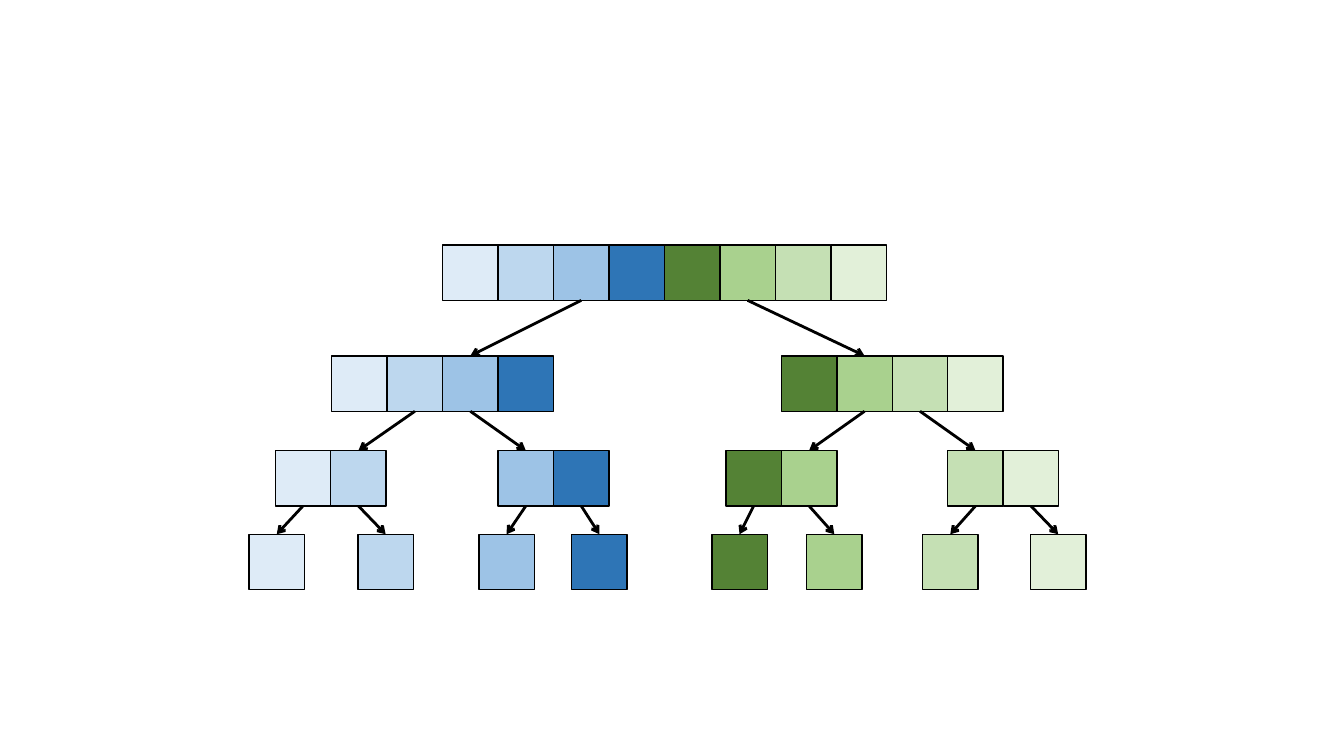
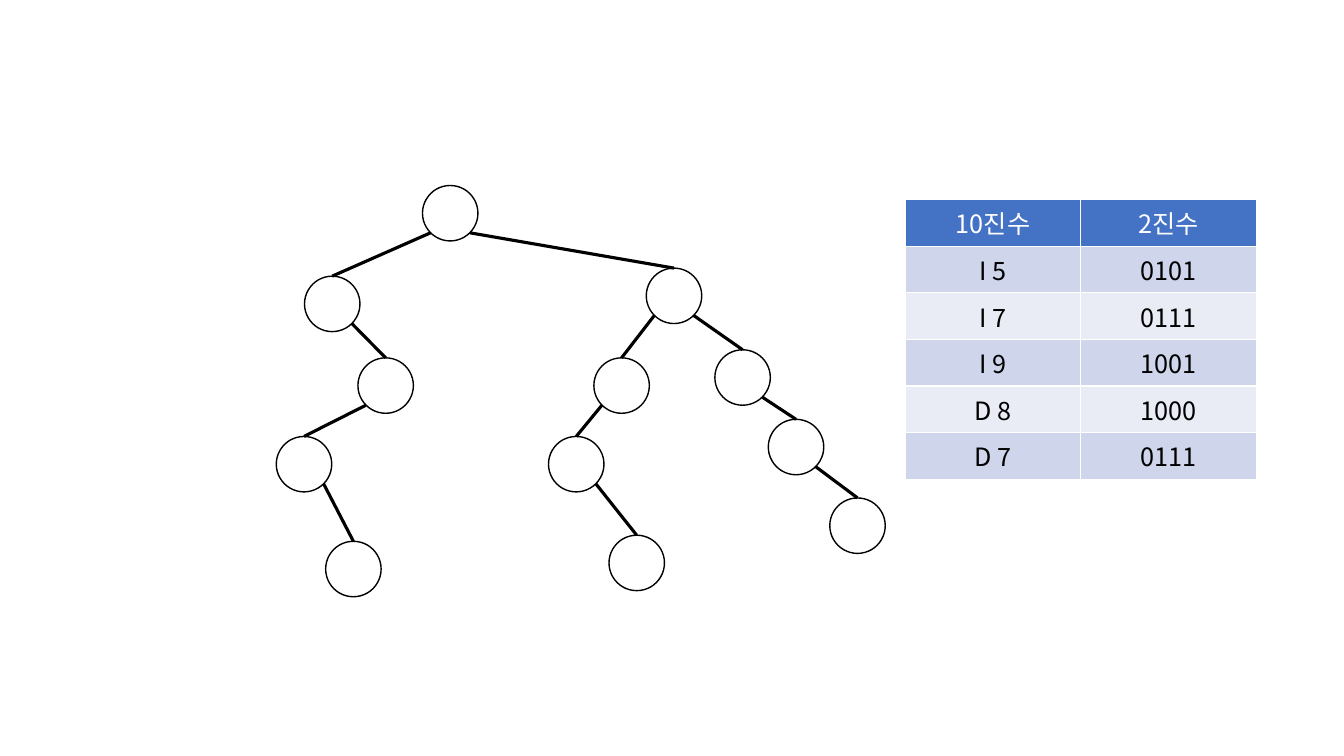
"""Build two slides: a divide-and-conquer splitting tree and a binary trie with its key table."""
import math

from lxml import etree
from pptx import Presentation
from pptx.dml.color import RGBColor
from pptx.enum import shapes, text
from pptx.oxml import ns
from pptx.util import Inches, Pt

FONT = "Noto Sans CJK KR"
BLACK = RGBColor(0x00, 0x00, 0x00)
WHITE = RGBColor(0xFF, 0xFF, 0xFF)
HEADER = RGBColor(0x44, 0x72, 0xC4)
BANDS = [RGBColor(0xE9, 0xEB, 0xF5), RGBColor(0xCF, 0xD5, 0xEA)]
CELL_COLORS = [RGBColor.from_string(c) for c in (
    "DEEBF7", "BDD7EE", "9DC3E6", "2E75B6", "548235", "A9D18E", "C5E0B4", "E2F0D9")]
SIZE = Inches(0.55)


def outline(item, width, arrow=False):
    item.line.color.rgb = BLACK
    item.line.width = Pt(width)
    if arrow:
        etree.SubElement(item.line._get_or_add_ln(), ns.qn("a:tailEnd"), type="arrow")
    etree.SubElement(item._element.spPr, ns.qn("a:effectLst"))


def write(tf, content, size=18, color=BLACK, align=text.PP_ALIGN.CENTER):
    p = tf.paragraphs[0]
    p.alignment = align
    r = p.add_run()
    r.text = content
    r.font.size = Pt(size)
    r.font.bold = False
    r.font.name = FONT
    r.font.color.rgb = color
    etree.SubElement(r.font._element, ns.qn("a:ea"), typeface=FONT)


prs = Presentation()
prs.slide_width, prs.slide_height = Inches(13.33), Inches(7.5)
blank = prs.slide_layouts[6]

s = prs.slides.add_slide(blank)
levels = [
    (2.43, [4.39], []),
    (3.53, [3.29, 7.75], [2, 5]),
    (4.47, [2.73, 4.94, 7.2, 9.4], [1, 2, 5, 6]),
    (5.3, [2.47, 3.55, 4.75, 5.67, 7.06, 8, 9.15, 10.22], range(8)),
]
parents = []
for top, lefts, linked in levels:
    count = len(CELL_COLORS) // len(lefts)
    cells = []
    for i, color in enumerate(CELL_COLORS):
        block, offset = divmod(i, count)
        sp = s.shapes.add_shape(shapes.MSO_SHAPE.RECTANGLE,
                                Inches(lefts[block]) + offset * SIZE, Inches(top), SIZE, SIZE)
        sp.fill.solid()
        sp.fill.fore_color.rgb = color
        outline(sp, 1)
        cells.append(sp)
    for i in linked:
        arrow = s.shapes.add_connector(shapes.MSO_CONNECTOR.STRAIGHT, 0, 0, 0, 0)
        arrow.begin_connect(parents[i], 2)
        arrow.end_connect(cells[i], 0)
        outline(arrow, 2, arrow=True)
    parents = cells

s = prs.slides.add_slide(blank)
rows = [("10진수", "2진수"), ("I 5", "0101"), ("I 7", "0111"),
        ("I 9", "1001"), ("D 8", "1000"), ("D 7", "0111")]
table = s.shapes.add_table(len(rows), 2, Inches(8.98), Inches(1.98),
                           Inches(3.48), Inches(2.43)).table
for i, row in enumerate(rows):
    for j, content in enumerate(row):
        cell = table.cell(i, j)
        cell.fill.solid()
        cell.fill.fore_color.rgb = BANDS[i % 2] if i else HEADER
        write(cell.text_frame, content, color=BLACK if i else WHITE)

nodes = {
    "": (4.19, 1.84),
    "0": (3.02, 2.74), "01": (3.55, 3.55), "010": (2.74, 4.33), "0101": (3.23, 5.37),
    "1": (6.41, 2.66), "10": (5.89, 3.55), "100": (5.44, 4.33), "1001": (6.04, 5.31),
    "11": (7.09, 3.47), "111": (7.62, 4.16), "1111": (8.23, 4.94),
}
reach = SIZE / 2 * math.sqrt(0.5)
circles = {}
for prefix, (left, top) in nodes.items():
    sp = s.shapes.add_shape(shapes.MSO_SHAPE.OVAL, Inches(left), Inches(top), SIZE, SIZE)
    sp.fill.background()
    outline(sp, 1)
    circles[prefix] = sp
    if prefix:
        parent = circles[prefix[:-1]]
        side = 1 if prefix[-1] == "1" else -1
        x = int(parent.left + SIZE / 2 + side * reach)
        y = int(parent.top + SIZE / 2 + reach)
        edge = s.shapes.add_connector(shapes.MSO_CONNECTOR.STRAIGHT, x, y, x, y)
        edge.end_connect(sp, 0)
        outline(edge, 2.25)

prs.save("out.pptx")
